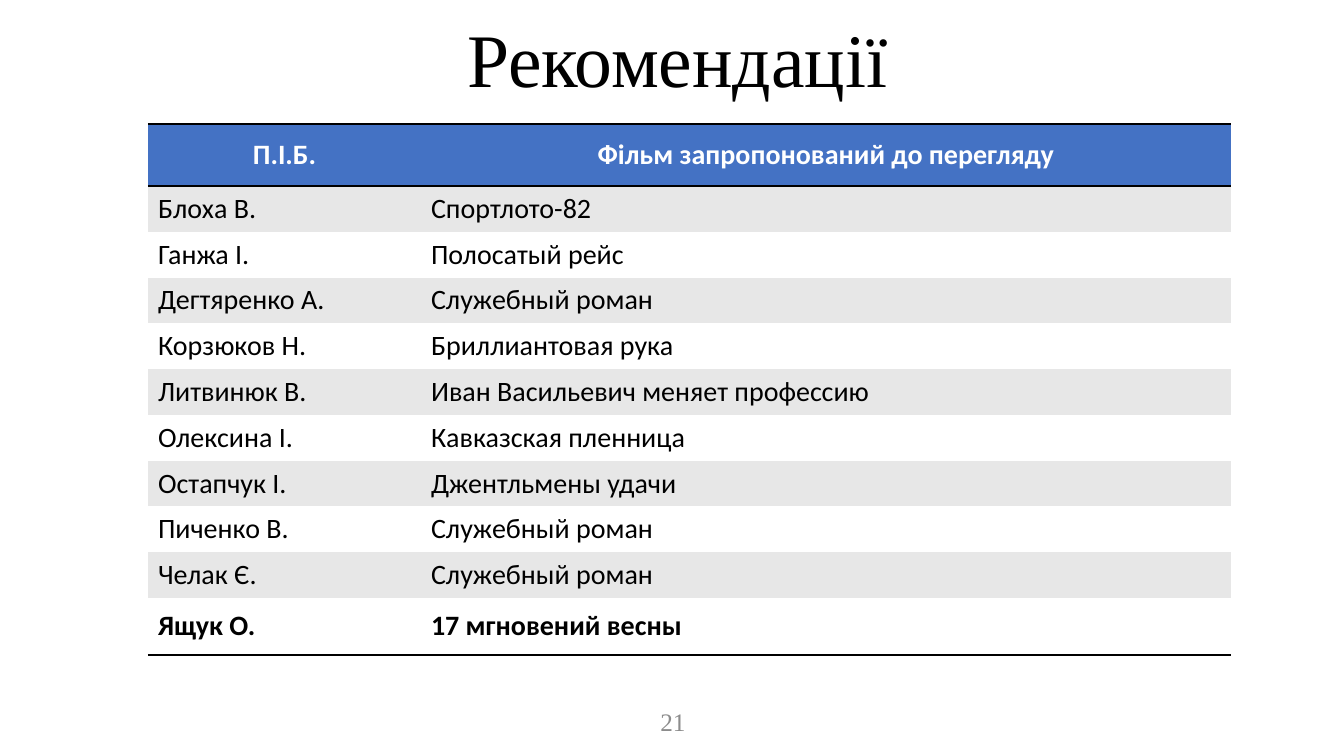
from dataclasses import dataclass
from lxml import etree
from pptx import Presentation
from pptx.dml.color import RGBColor
from pptx.enum.text import MSO_ANCHOR, PP_ALIGN
from pptx.oxml.ns import qn
from pptx.util import Pt

TOP, MIDDLE = MSO_ANCHOR.TOP, MSO_ANCHOR.MIDDLE
LEFT, CENTER = PP_ALIGN.LEFT, PP_ALIGN.CENTER
SCALE = 914400 / 100.8


@dataclass(frozen=True)
class Theme:
    black: str = "000000"
    white: str = "FFFFFF"
    blue: str = "4472C4"
    band: str = "E7E7E7"
    gray: str = "8C8C8C"
    serif: str = "Times New Roman"
    sans: str = "Calibri"
    title: int = 54
    cell: int = 20
    number: int = 18
    rule: int = 2


@dataclass(frozen=True)
class Label:
    text: str
    box: tuple[int, int, int, int]
    size: int
    color: str
    anchor: MSO_ANCHOR
    spacing: float


@dataclass(frozen=True)
class Row:
    name: str
    film: str
    height: float
    fill: str
    color: str = "000000"
    bold: bool = False
    align: PP_ALIGN = LEFT
    rules: tuple[str, ...] = ()


THEME = Theme()

LABELS = (
    Label("Рекомендації", (148, 17, 1059, 104), THEME.title, THEME.black, TOP, 0.9),
    Label("21", (446, 701, 454, 40), THEME.number, THEME.gray, MIDDLE, 1.0),
)

# Table content
HEAD = ("П.І.Б.", "Фільм запропонований до перегляду")
PICKS = (
    ("Блоха В.", "Спортлото-82"),
    ("Ганжа І.", "Полосатый рейс"),
    ("Дегтяренко А.", "Служебный роман"),
    ("Корзюков Н.", "Бриллиантовая рука"),
    ("Литвинюк В.", "Иван Васильевич меняет профессию"),
    ("Олексина І.", "Кавказская пленница"),
    ("Остапчук І.", "Джентльмены удачи"),
    ("Пиченко В.", "Служебный роман"),
    ("Челак Є.", "Служебный роман"),
)
LAST = ("Ящук О.", "17 мгновений весны")
COLS = (273, 810)
ORIGIN = (148, 124)
HEAD_H, BODY_H, LAST_H = 62, 412, 57


def emu(px: float) -> int:
    return round(px * SCALE)


def style(para, text: str, align: PP_ALIGN, face: str, size: int,
          color: str, bold: bool = False) -> None:
    para.alignment = align
    run = para.add_run()
    run.text = text
    for key, value in {"name": face, "size": Pt(size), "bold": bold}.items():
        setattr(run.font, key, value)
    run.font.color.rgb = RGBColor.from_string(color)


def write(slide, label: Label) -> None:
    frame = slide.shapes.add_textbox(*map(emu, label.box)).text_frame
    frame.word_wrap = True
    frame.vertical_anchor = label.anchor
    para = frame.paragraphs[0]
    para.line_spacing = label.spacing
    style(para, label.text, CENTER, THEME.serif, label.size, label.color)


def edge(cell, rules: tuple[str, ...]) -> None:
    props = cell._tc.get_or_add_tcPr()
    for spot, tag in enumerate(("lnL", "lnR", "lnT", "lnB")):
        line = etree.Element(qn(f"a:{tag}"))
        if tag in rules:
            line.set("w", str(Pt(THEME.rule)))
            fill = etree.SubElement(line, qn("a:solidFill"))
            etree.SubElement(fill, qn("a:srgbClr"), val=THEME.black)
        else:
            etree.SubElement(line, qn("a:noFill"))
        props.insert(spot, line)


def fill_row(table, index: int, row: Row) -> None:
    table.rows[index].height = emu(row.height)
    for col, text in enumerate((row.name, row.film)):
        cell = table.cell(index, col)
        cell.vertical_anchor = MIDDLE
        cell.fill.solid()
        cell.fill.fore_color.rgb = RGBColor.from_string(row.fill)
        style(cell.text_frame.paragraphs[0], text, row.align, THEME.sans,
              THEME.cell, row.color, row.bold)
        edge(cell, row.rules)


def draw_table(slide, rows: list[Row]) -> None:
    size = (sum(COLS), sum(row.height for row in rows))
    table = slide.shapes.add_table(
        len(rows), len(COLS), *map(emu, ORIGIN + size)).table
    for col, width in zip(table.columns, COLS):
        col.width = emu(width)
    for index, row in enumerate(rows):
        fill_row(table, index, row)


# Slide
deck = Presentation()
deck.slide_width, deck.slide_height = emu(1344), emu(756)
page = deck.slides.add_slide(deck.slide_layouts[6])

# Table: header, banded body, closing row
bands = (THEME.band, THEME.white)
body = [Row(*pick, BODY_H / len(PICKS), bands[i % 2])
        for i, pick in enumerate(PICKS)]
head = Row(*HEAD, HEAD_H, THEME.blue, THEME.white, True, CENTER, ("lnT", "lnB"))
last = Row(*LAST, LAST_H, THEME.white, bold=True, rules=("lnB",))
draw_table(page, [head, *body, last])

# Title and slide number
for label in LABELS:
    write(page, label)

deck.save("out.pptx")
